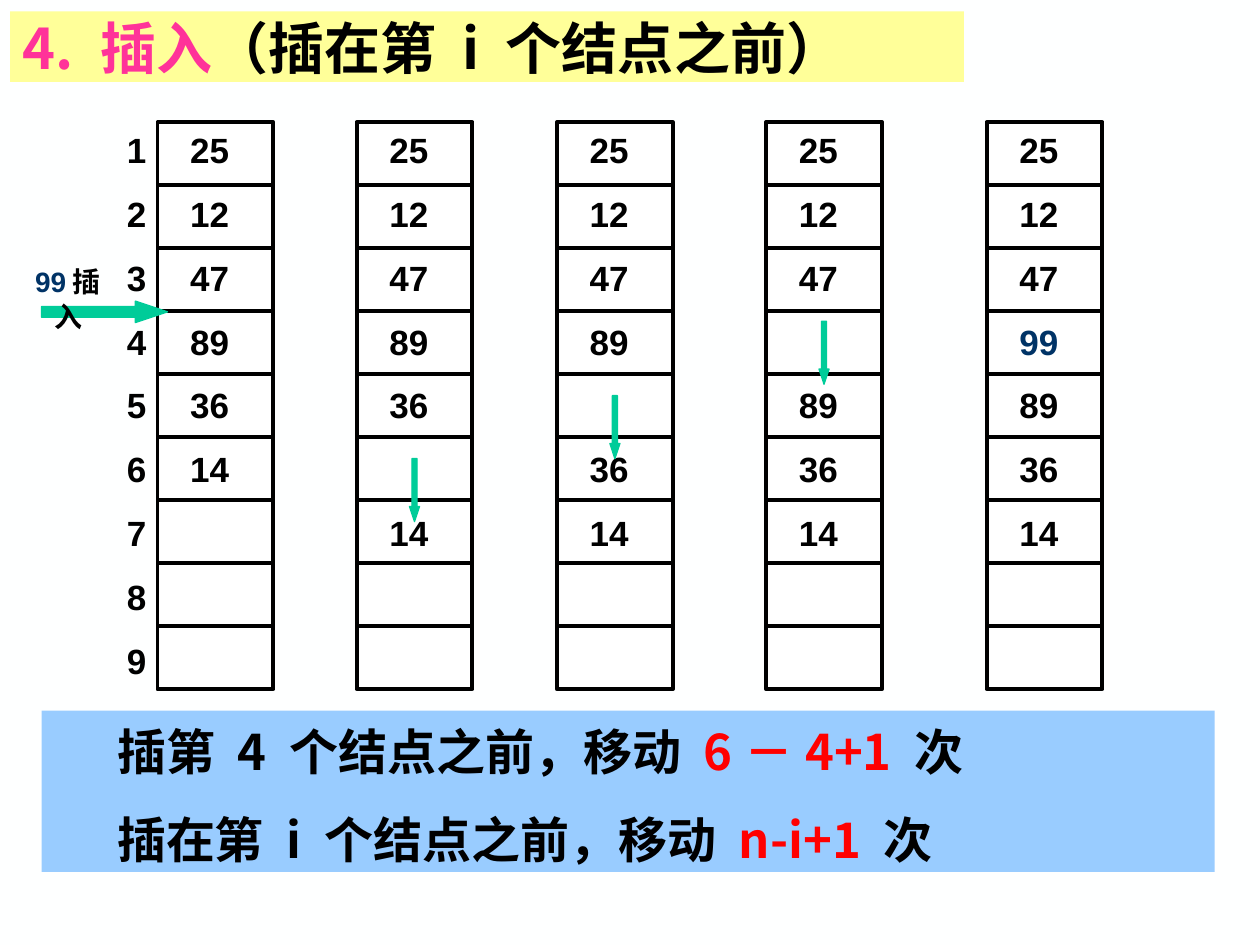
import dataclasses

import lxml.etree
import pptx
import pptx.dml.color
import pptx.enum.shapes
import pptx.enum.text
import pptx.oxml.ns
import pptx.util

Inches = pptx.util.Inches
Pt = pptx.util.Pt
RGBColor = pptx.dml.color.RGBColor
SHAPES = pptx.enum.shapes.MSO_SHAPE
ALIGN = pptx.enum.text.PP_ALIGN
ANCHOR = pptx.enum.text.MSO_ANCHOR


@dataclasses.dataclass(frozen=True)
class Theme:
    background: str = "FEFFFF"
    ink: str = "000000"
    cell: str = "FFFFFF"
    title_fill: str = "FFFF99"
    title_accent: str = "FF3399"
    summary_fill: str = "99CCFF"
    emphasis: str = "FF0000"
    inserted: str = "003366"
    arrow: str = "00CC99"
    latin_font: str = "Arial"
    chinese_font: str = "Noto Sans CJK SC"
    title_size: float = 32
    summary_size: float = 28
    value_size: float = 20
    label_size: float = 16
    border: float = 2.25


THEME = Theme()
ROWS = 9
ROW_HEIGHT = 0.5
ARRAY_TOP = 0.97
ARRAY_WIDTH = 0.92
COLUMN_WIDTH = 0.83
VALUE_LINE = 24
VALUE_GAP = 12.5
STAGES = [
    (1.25, ["25", "12", "47", "89", "36", "14"], None),
    (2.83, ["25", "12", "47", "89", "36", None, "14"], 3.64),
    (4.42, ["25", "12", "47", "89", None, "36", "14"], 3.14),
    (6.08, ["25", "12", "47", None, "89", "36", "14"], 2.55),
    (7.83, ["25", "12", "47", "99", "89", "36", "14"], None),
]


def color(value):
    return RGBColor.from_string(value)


def fill(shape, value):
    shape.fill.solid()
    shape.fill.fore_color.rgb = color(value)


def place(shape, box):
    shape.left, shape.top, shape.width, shape.height = map(Inches, box)


def set_font(paragraph, name, size):
    paragraph.font.name = name
    paragraph.font.size = Pt(size)
    paragraph.font.bold = True


def add_runs(paragraph, runs):
    for text, value in runs:
        run = paragraph.add_run()
        run.text = text
        run.font.color.rgb = color(value)


def add_text_box(slide, box):
    frame = slide.shapes.add_textbox(*map(Inches, box)).text_frame
    frame.word_wrap = True
    return frame


def fill_title(slide, box):
    title = slide.shapes.title
    place(title, box)
    fill(title, THEME.title_fill)
    frame = title.text_frame
    frame.auto_size = pptx.enum.text.MSO_AUTO_SIZE.NONE
    frame.vertical_anchor = ANCHOR.MIDDLE
    paragraph = frame.paragraphs[0]
    paragraph.alignment = ALIGN.LEFT
    set_font(paragraph, THEME.chinese_font, THEME.title_size)
    add_runs(paragraph, [("4. 插入", THEME.title_accent), ("（插在第 i 个结点之前）", THEME.ink)])


def fill_summary(slide, box):
    body = slide.placeholders[1]
    place(body, box)
    fill(body, THEME.summary_fill)
    frame = body.text_frame
    frame.auto_size = pptx.enum.text.MSO_AUTO_SIZE.NONE
    frame.vertical_anchor = ANCHOR.TOP
    lines = [("插第 4 个结点之前，移动 ", "6－4+1 "), ("插在第 i 个结点之前，移动 ", "n-i+1 ")]
    for index, (lead, formula) in enumerate(lines):
        paragraph = frame.add_paragraph() if index else frame.paragraphs[0]
        paragraph.level = 1
        paragraph.line_spacing = Pt(36)
        paragraph.space_before = Pt(14.5)
        set_font(paragraph, THEME.chinese_font, THEME.summary_size)
        add_runs(paragraph, [(lead, THEME.ink), (formula, THEME.emphasis), ("次", THEME.ink)])
        properties = paragraph._p.get_or_add_pPr()
        properties.set("marL", str(Inches(0.5)))
        properties.set("indent", "0")
        bullet = lxml.etree.Element(pptx.oxml.ns.qn("a:buNone"))
        properties.find(pptx.oxml.ns.qn("a:defRPr")).addprevious(bullet)


def add_column(slide, box, values):
    frame = add_text_box(slide, box)
    gap = VALUE_GAP
    for index, value in enumerate(values):
        if value is None:
            gap += VALUE_LINE + VALUE_GAP
            continue
        paragraph = frame.add_paragraph() if index else frame.paragraphs[0]
        paragraph.alignment = ALIGN.CENTER
        paragraph.line_spacing = Pt(VALUE_LINE)
        paragraph.space_before = Pt(gap)
        set_font(paragraph, THEME.latin_font, THEME.value_size)
        add_runs(paragraph, [(value, THEME.inserted if value == "99" else THEME.ink)])
        gap = VALUE_GAP


def add_arrow(slide, kind, box):
    arrow = slide.shapes.add_shape(kind, *map(Inches, box))
    arrow.shadow.inherit = False
    arrow.adjustments[0] = 0.5
    arrow.adjustments[1] = 1.5
    fill(arrow, THEME.arrow)
    arrow.line.color.rgb = color(THEME.arrow)
    arrow.line.width = Pt(0.75)


def add_array(slide, box, values):
    left, top, width, height = box
    frame = slide.shapes.add_shape(SHAPES.RECTANGLE, *map(Inches, box))
    frame.shadow.inherit = False
    fill(frame, THEME.cell)
    dividers = []
    for row in range(1, ROWS):
        y = top + row * height / ROWS
        divider = slide.shapes.add_connector(
            pptx.enum.shapes.MSO_CONNECTOR.STRAIGHT,
            Inches(left), Inches(y), Inches(left + width), Inches(y))
        lxml.etree.SubElement(divider._element.spPr, pptx.oxml.ns.qn("a:effectLst"))
        dividers.append(divider)
    for outlined in [frame, *dividers]:
        outlined.line.color.rgb = color(THEME.ink)
        outlined.line.width = Pt(THEME.border)
    add_column(slide, (left, top, COLUMN_WIDTH, height), values)


def add_insertion_label(slide, box):
    left, top, width, height = box
    add_arrow(slide, SHAPES.RIGHT_ARROW, (left + 0.25, top + 0.34, 1, 0.17))
    paragraph = add_text_box(slide, box).paragraphs[0]
    paragraph.alignment = ALIGN.CENTER
    paragraph.line_spacing = Pt(19.5)
    set_font(paragraph, THEME.latin_font, THEME.label_size)
    add_runs(paragraph, [("99", THEME.inserted), ("插入", THEME.ink)])


def build_slide(presentation):
    slide = presentation.slides.add_slide(presentation.slide_layouts[1])
    fill_background = slide.background.fill
    fill_background.solid()
    fill_background.fore_color.rgb = color(THEME.background)
    fill_title(slide, (0.08, 0.09, 7.57, 0.56))
    fill_summary(slide, (0.33, 5.64, 9.31, 1.28))
    height = ROWS * ROW_HEIGHT
    for left, values, arrow_top in STAGES:
        add_array(slide, (left, ARRAY_TOP, ARRAY_WIDTH, height), values)
        if arrow_top is not None:
            add_arrow(slide, SHAPES.DOWN_ARROW, (left + 0.42, arrow_top, 0.08, 0.5))
    indices = [str(number) for number in range(1, ROWS + 1)]
    add_column(slide, (0.67, ARRAY_TOP, COLUMN_WIDTH, height), indices)
    add_insertion_label(slide, (0.08, 2.05, 0.92, 0.64))


def main():
    presentation = pptx.Presentation()
    presentation.slide_width = Inches(10)
    presentation.slide_height = Inches(7.5)
    build_slide(presentation)
    presentation.save("out.pptx")


if __name__ == "__main__":
    main()
